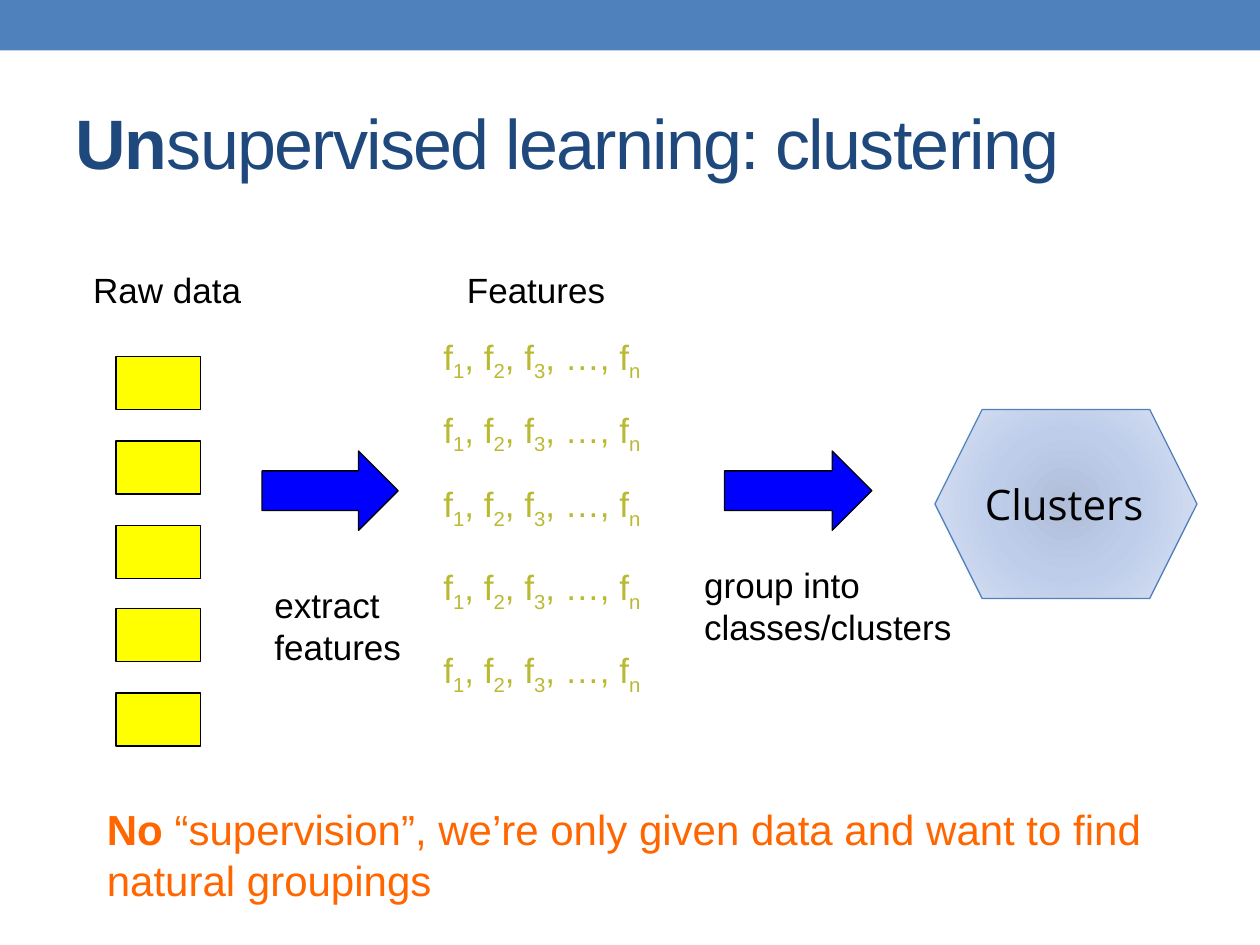
import pptx
import pptx.dml.color
import pptx.enum.shapes
import pptx.enum.text
import pptx.oxml
import pptx.oxml.ns
import pptx.util

PX = 9144  # EMU per px, 100 px to the inch
SHAPE = pptx.enum.shapes.MSO_SHAPE
ALIGN = pptx.enum.text.PP_ALIGN
ANCHOR = pptx.enum.text.MSO_ANCHOR
AUTO = pptx.enum.text.MSO_AUTO_SIZE


def rgb(value):
    return pptx.dml.color.RGBColor.from_string(value)


class Deck:
    black, blue, navy = "000000", "4F81BD", "1F497D"
    yellow, arrow_blue, olive, orange = "FFFF00", "0000FF", "BAB932", "FF6600"
    font = "Arial"

    def __init__(self, width, height):
        self.prs = pptx.Presentation()
        self.prs.slide_width = width * PX
        self.prs.slide_height = height * PX
        self.s = self.prs.slides.add_slide(self.prs.slide_layouts[6])

    def shape(self, kind, x, y, w, h, fill, line=None):
        sp = self.s.shapes.add_shape(kind, x * PX, y * PX, w * PX, h * PX)
        sp.shadow.inherit = False
        sp.fill.solid()
        sp.fill.fore_color.rgb = rgb(fill)
        if line:
            sp.line.color.rgb = rgb(line)
            sp.line.width = pptx.util.Pt(0.75)
        else:
            sp.line.fill.background()
        return sp

    def radial(self, sp, stops):
        """Replace the solid fill with a gradient spreading from the centre."""
        gs = "".join(f'<a:gs pos="{pos * 1000}"><a:srgbClr val="{color}"/></a:gs>'
                     for pos, color in stops)
        grad = pptx.oxml.parse_xml(
            f'<a:gradFill {pptx.oxml.ns.nsdecls("a")}><a:gsLst>{gs}</a:gsLst>'
            '<a:path path="circle"><a:fillToRect l="100000" t="100000" '
            'r="100000" b="100000"/></a:path></a:gradFill>')
        solid = sp._element.spPr.find(pptx.oxml.ns.qn("a:solidFill"))
        solid.getparent().replace(solid, grad)

    def fill_text(self, tf, lines, size, color, font=None, align=ALIGN.LEFT):
        """Each line is a list of (text, style); style is '', 'bold' or 'sub'."""
        for i, line in enumerate(lines):
            p = tf.paragraphs[0] if i == 0 else tf.add_paragraph()
            p.alignment = align
            p.font.size = pptx.util.Pt(size)
            p.font.name = font or self.font
            p.font.color.rgb = rgb(color)
            for text, style in line:
                r = p.add_run()
                r.text = text
                if style == "bold":
                    r.font.bold = True
                elif style == "sub":
                    r.font._element.set("baseline", "-25000")

    def text(self, x, y, w, h, lines, size=20, color=black, wrap=False,
             align=ALIGN.LEFT):
        sp = self.s.shapes.add_textbox(x * PX, y * PX, w * PX, h * PX)
        tf = sp.text_frame
        tf.word_wrap = wrap
        tf.auto_size = AUTO.SHAPE_TO_FIT_TEXT
        self.fill_text(tf, lines, size, color, align=align)
        return tf

    def title(self, x, y, w, h, line):
        tf = self.text(x, y, w, h, [line], 40, self.navy, wrap=True)
        tf.auto_size = AUTO.NONE
        tf.vertical_anchor = ANCHOR.MIDDLE
        for r in tf.paragraphs[0].runs:
            r.font._element.set("spc", "-100")


def main():
    d = Deck(1000, 750)

    # Top band and title
    d.shape(SHAPE.RECTANGLE, 0, 0, 1000, 40, d.blue)
    d.title(50, 58, 900, 108,
            [("Un", "bold"), ("supervised learning: clustering", "")])

    # Raw data
    d.text(64, 208, 139, 44, [[("Raw data", "")]])
    for i in range(5):
        y = round((850 + 200 * i) / 3)
        d.shape(SHAPE.RECTANGLE, 92, y, 67, 42, d.yellow, d.black)

    # Step arrows and their captions
    for x, w in ((208, 108), (575, 117)):
        d.shape(SHAPE.RIGHT_ARROW, x, 358, w, 63, d.arrow_blue, d.black)
    d.text(208, 458, 123, 77, [[("extract", "")], [("features", "")]])
    d.text(549, 442, 232, 77, [[("group into classes/clusters", "")]], wrap=True)

    # Feature vectors
    d.text(342, 208, 167, 44, [[("Features", "")]], wrap=True, align=ALIGN.CENTER)
    vector = [("f", ""), ("1", "sub"), (", f", ""), ("2", "sub"),
              (", f", ""), ("3", "sub"), (", …, f", ""), ("n", "sub")]
    for y in (261, 319, 378, 444, 510):
        d.text(342, y, 208, 44, [vector], color=d.olive)

    # Clusters
    hexagon = d.shape(SHAPE.HEXAGON, 742, 325, 208, 150, d.blue, d.blue)
    d.radial(hexagon, [(0, "B0BED9"), (45, "BECDEA"), (100, "DBE3F3")])
    hexagon.text_frame.word_wrap = False
    hexagon.text_frame.vertical_anchor = ANCHOR.MIDDLE
    d.fill_text(hexagon.text_frame, [[("Clusters", "")]], 24, d.black, "Open Sans")

    # Conclusion
    d.text(75, 633, 875, 91,
           [[("No", "bold"), (" “supervision”, we’re only given data and want "
                              "to find natural groupings", "")]],
           24, d.orange, wrap=True)

    d.prs.save("out.pptx")


if __name__ == "__main__":
    main()
